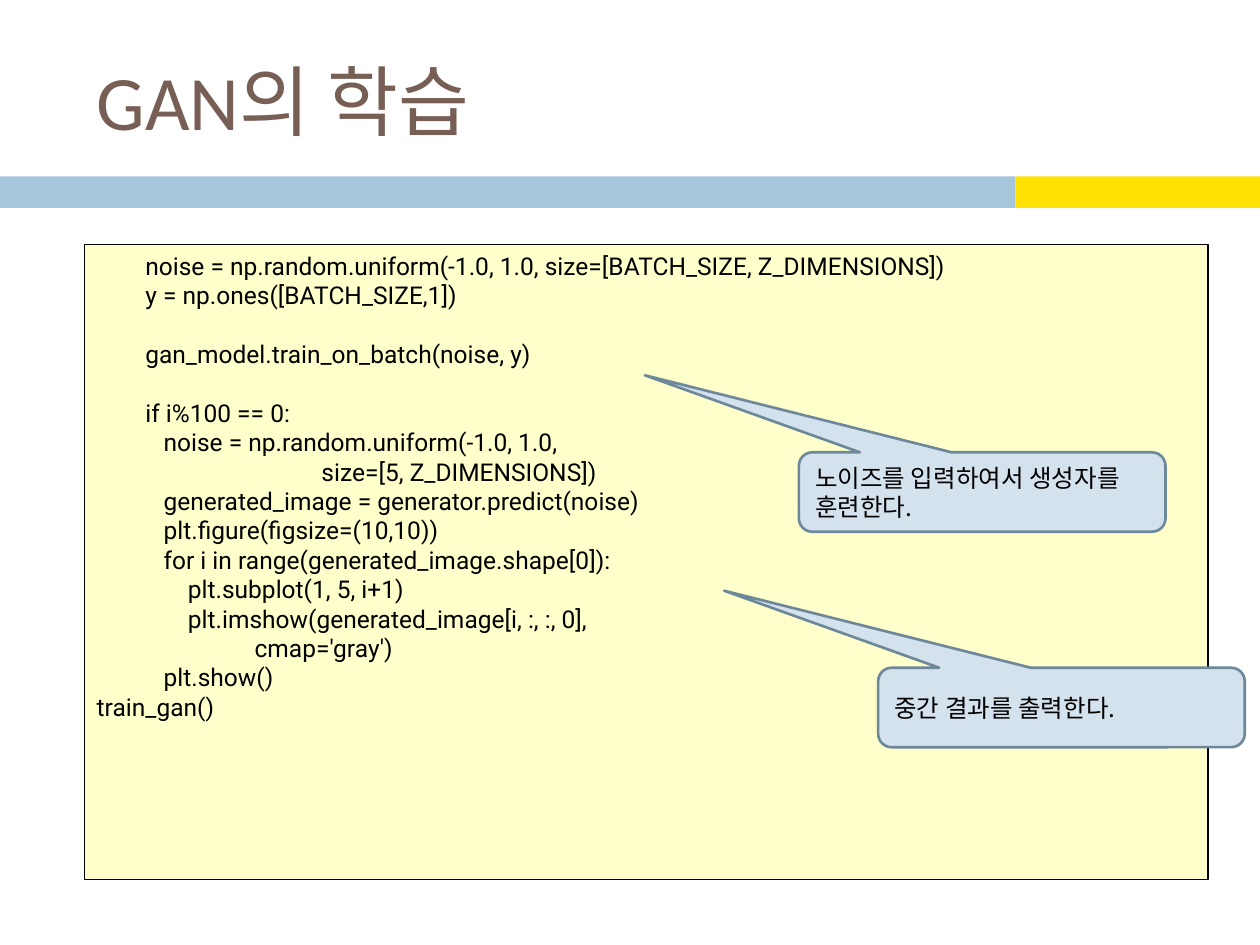
from pptx import Presentation
from pptx.dml.color import RGBColor
from pptx.enum.shapes import MSO_SHAPE
from pptx.enum.text import MSO_ANCHOR, PP_ALIGN
from pptx.oxml.ns import qn
from pptx.util import Pt
from lxml import etree

BROWN = RGBColor(0x77, 0x5F, 0x55)
BLUE = RGBColor(0xA5, 0xC6, 0xDB)
YELLOW = RGBColor(0xFE, 0xE0, 0x02)
CREAM = RGBColor(0xFF, 0xFF, 0xCC)
PALE_BLUE = RGBColor(0xD4, 0xE2, 0xED)
SLATE = RGBColor(0x6D, 0x87, 0x9B)
BLACK = RGBColor(0, 0, 0)
KOREAN_FONT = "Noto Sans CJK KR"

CODE = """\
        noise = np.random.uniform(-1.0, 1.0, size=[BATCH_SIZE, Z_DIMENSIONS])
        y = np.ones([BATCH_SIZE,1])

        gan_model.train_on_batch(noise, y)

        if i%100 == 0:
           noise = np.random.uniform(-1.0, 1.0,
                                     size=[5, Z_DIMENSIONS])
           generated_image = generator.predict(noise)
           plt.figure(figsize=(10,10))
           for i in range(generated_image.shape[0]):
               plt.subplot(1, 5, i+1)
               plt.imshow(generated_image[i, :, :, 0],
                          cmap='gray')
           plt.show()
train_gan()"""

CALLOUTS = [
    ("노이즈를 입력하여서 생성자를 훈련한다.", 456.5, 258.5),
    ("중간 결과를 출력한다.", 501.8, 381.6),
]


def write(shape, text, font_name, size, color, anchor):
    """Fill a shape with left-aligned text in one style."""
    frame = shape.text_frame
    frame.word_wrap = True
    frame.vertical_anchor = anchor
    frame.text = text
    for para in frame.paragraphs:
        para.alignment = PP_ALIGN.LEFT
        para.font.size = Pt(size)
        for span in para.runs:
            span.font.name = font_name
            span.font.size = Pt(size)
            span.font.color.rgb = color
            east_asian = etree.SubElement(span.font._element, qn("a:ea"))
            east_asian.set("typeface", KOREAN_FONT)


def add_box(page, kind, box, fill, line=None, line_width=0.75):
    shape = page.shapes.add_shape(kind, *map(Pt, box))
    shape.shadow.inherit = False
    shape.fill.solid()
    shape.fill.fore_color.rgb = fill
    if line is None:
        shape.line.fill.background()
    else:
        shape.line.color.rgb = line
        shape.line.width = Pt(line_width)
    return shape


def add_header_bar(page, left, top, width, height):
    accent_width = 139.7
    add_box(page, MSO_SHAPE.RECTANGLE,
            (left, top, width - accent_width, height), BLUE)
    add_box(page, MSO_SHAPE.RECTANGLE,
            (left + width - accent_width, top, accent_width, height), YELLOW)


def place_title(page, left, top, width, height):
    title = page.shapes.title
    title.left, title.top = Pt(left), Pt(top)
    title.width, title.height = Pt(width), Pt(height)
    write(title, "GAN의 학습", "Calibri", 44, BROWN, MSO_ANCHOR.MIDDLE)


def add_code(page, *box):
    panel = add_box(page, MSO_SHAPE.RECTANGLE, box, CREAM, BLACK)
    write(panel, CODE, "Roboto", 14, BLACK, MSO_ANCHOR.TOP)


def add_callout(page, text, *box):
    callout = add_box(page, MSO_SHAPE.ROUNDED_RECTANGULAR_CALLOUT, box,
                      PALE_BLUE, SLATE, 1.5)
    for index, value in enumerate((-0.92, -1.47, 0.17)):
        callout.adjustments[index] = value
    write(callout, text, KOREAN_FONT, 14, BLACK, MSO_ANCHOR.MIDDLE)


def main():
    deck = Presentation()
    deck.slide_width, deck.slide_height = Pt(720), Pt(540)
    page = deck.slides.add_slide(deck.slide_layouts[5])
    add_header_bar(page, 0, 100.8, 720, 18)
    place_title(page, 48.2, 18, 642.2, 78)
    add_code(page, 48.2, 139.7, 642.2, 362.9)
    for text, left, top in CALLOUTS:
        add_callout(page, text, left, top, 209.5, 45.4)
    deck.save("out.pptx")


if __name__ == "__main__":
    main()
